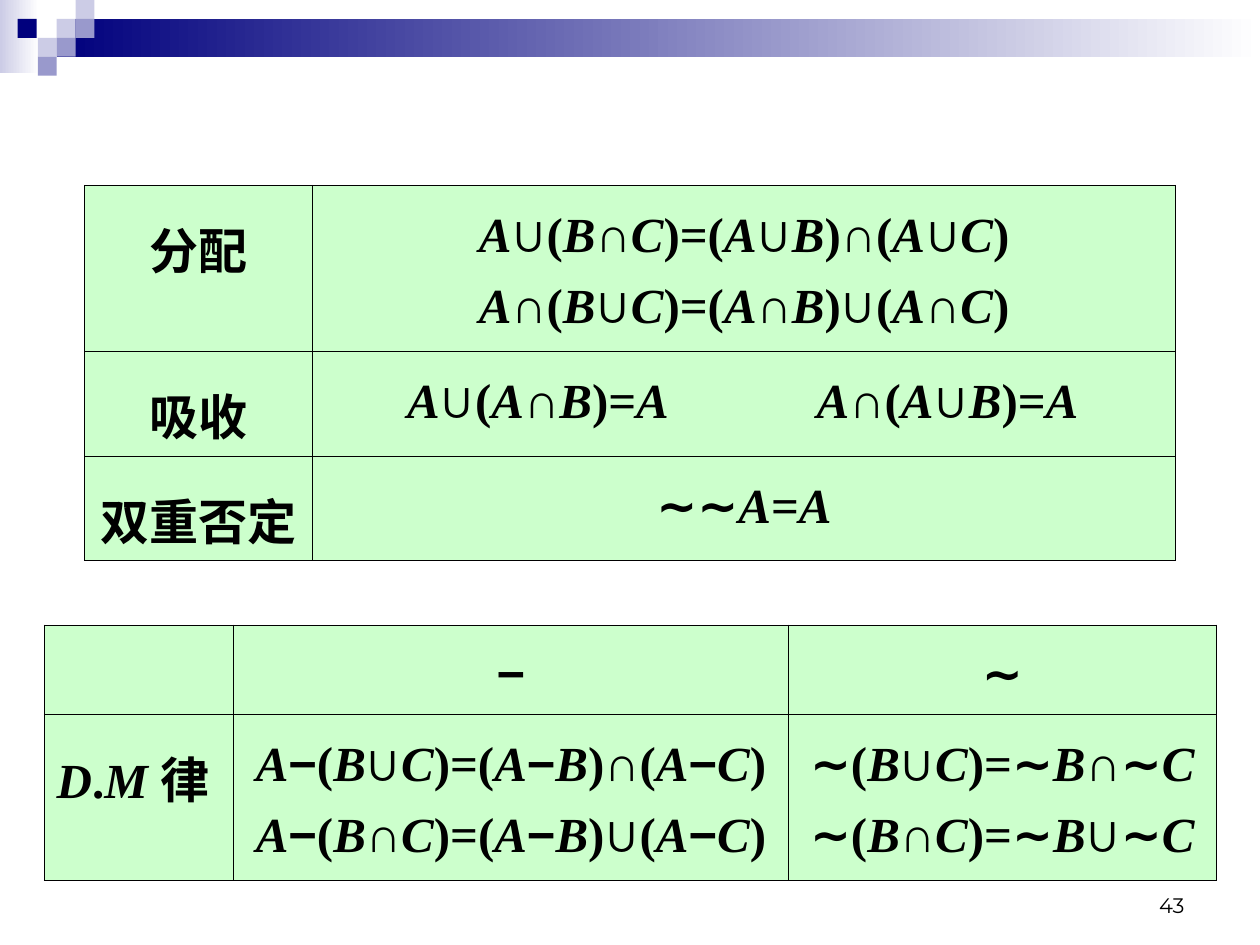
from itertools import groupby

from lxml.etree import SubElement
from pptx import Presentation
from pptx.dml.color import RGBColor
from pptx.enum.shapes import MSO_SHAPE
from pptx.enum.text import MSO_ANCHOR, PP_ALIGN
from pptx.oxml.ns import qn
from pptx.util import Inches, Pt

THEME = {
    "white": "FFFFFF", "pale": "CCCCE6", "mid": "9999CC", "navy": "00007D",
    "cell": "CCFFCC", "ink": "000000",
    "formula": "Times New Roman", "symbol": "Arial", "number": "Montserrat",
    "table_size": 28, "number_size": 12, "border": 0.45,
}
SYMBOLS = "∪∩−∼"

# Left, top, width, height and colour; bars fade from the colour to white.
BARS = [(0, 0, 0.31, 0.58, "pale"), (0.45, 0.15, 9.55, 0.3, "navy")]
SQUARE = 0.15
SQUARES = [
    (0.45, 0.15, "pale"), (0.6, 0, "pale"), (0.6, 0.15, "mid"),
    (0.3, 0.3, "pale"), (0.14, 0.15, "navy"), (0.45, 0.3, "mid"),
    (0.3, 0.45, "mid"),
]

# Each cell is a list of lines; a tab starts the next formula in a line.
LAWS = {
    "at": (0.67, 1.47), "columns": (1.81, 6.85), "rows": (1.32, 0.71, 0.71),
    "cells": [
        [["分配"], ["A∪(B∩C)=(A∪B)∩(A∪C)", "A∩(B∪C)=(A∩B)∪(A∩C)"]],
        [["吸收"], ["\tA∪(A∩B)=A\tA∩(A∪B)=A"]],
        [["双重否定"], ["∼∼A=A"]],
    ],
}
DE_MORGAN = {
    "at": (0.35, 4.96), "columns": (1.5, 4.41, 3.39), "rows": (0.71, 1.32),
    "cells": [
        [[], ["−"], ["∼"]],
        [["D.M 律"],
         ["A−(B∪C)=(A−B)∩(A−C)", "A−(B∩C)=(A−B)∪(A−C)"],
         ["∼(B∪C)=∼B∩∼C", "∼(B∩C)=∼B∪∼C"]],
    ],
}
FORMULA_CENTRES = (1.69, 4.94)
HANGING = 0.38


def color(name):
    return RGBColor.from_string(THEME[name])


def add_block(shapes, left, top, width, height, name, fade=False):
    block = shapes.add_shape(MSO_SHAPE.RECTANGLE, Inches(left), Inches(top),
                             Inches(width), Inches(height))
    block.shadow.inherit = False
    block.line.fill.background()
    if fade:
        block.fill.gradient()
        block.fill.gradient_angle = 180
        for stop, position, shade in zip(block.fill.gradient_stops, (0, 1), ("white", name)):
            stop.position = position
            stop.color.rgb = color(shade)
    else:
        block.fill.solid()
        block.fill.fore_color.rgb = color(name)


def add_span(para, text, *, font, size, bold=False, italic=False):
    span = para.add_run()
    span.text = text
    span.font.name = THEME[font]
    span.font.size = Pt(THEME[size])
    span.font.bold = bold
    span.font.italic = italic
    span.font.color.rgb = color("ink")


def character_style(character):
    """Font and slant of a character: set variables are italic."""
    if character in SYMBOLS:
        return "symbol", False
    return "formula", "A" <= character <= "Z"


def write_line(para, line, align):
    properties = para._p.get_or_add_pPr()
    para.line_spacing = 1.3
    if "\t" in line:
        para.alignment = PP_ALIGN.LEFT
        tabs = SubElement(properties, qn("a:tabLst"))
        for centre in FORMULA_CENTRES:
            SubElement(tabs, qn("a:tab"), pos=str(Inches(centre)), algn="ctr")
    else:
        para.alignment = align
        properties.set("marL", str(Inches(HANGING)))
        properties.set("indent", str(-Inches(HANGING)))
    for (font, italic), characters in groupby(line, character_style):
        add_span(para, "".join(characters), font=font, size="table_size",
                 bold=True, italic=italic)


def add_borders(cell):
    properties = cell._tc.get_or_add_tcPr()
    for position, side in enumerate(("lnL", "lnR", "lnT", "lnB")):
        line = properties.makeelement(qn(f"a:{side}"), {"w": str(Pt(THEME["border"]))})
        fill = SubElement(line, qn("a:solidFill"))
        SubElement(fill, qn("a:srgbClr"), val=THEME["ink"])
        properties.insert(position, line)


def add_law_table(slide, content):
    columns, rows = content["columns"], content["rows"]
    left, top = content["at"]
    table = slide.shapes.add_table(
        len(rows), len(columns), Inches(left), Inches(top),
        Inches(sum(columns)), Inches(sum(rows))).table
    table.first_row = table.horz_banding = False
    for column, width in zip(table.columns, columns):
        column.width = Inches(width)
    for row, height, row_cells in zip(table.rows, rows, content["cells"]):
        row.height = Inches(height)
        for cell, lines in zip(row.cells, row_cells):
            cell.fill.solid()
            cell.fill.fore_color.rgb = color("cell")
            add_borders(cell)
            for index, line in enumerate(lines):
                frame = cell.text_frame
                para = frame.add_paragraph() if index else frame.paragraphs[0]
                align = PP_ALIGN.LEFT if line.startswith("D.M") else PP_ALIGN.CENTER
                write_line(para, line, align)


def add_page_number(slide, text):
    box = slide.shapes.add_textbox(Inches(7.17), Inches(6.83), Inches(2.33), Inches(0.5))
    box.text_frame.word_wrap = True
    box.text_frame.vertical_anchor = MSO_ANCHOR.BOTTOM
    para = box.text_frame.paragraphs[0]
    para.alignment = PP_ALIGN.RIGHT
    add_span(para, text, font="number", size="number_size")


def main():
    deck = Presentation()
    deck.slide_width, deck.slide_height = Inches(10), Inches(7.5)
    page = deck.slides.add_slide(deck.slide_layouts[6])
    ornament = page.shapes.add_group_shape().shapes
    for bar in BARS:
        add_block(ornament, *bar, fade=True)
    for left, top, name in SQUARES:
        add_block(ornament, left, top, SQUARE, SQUARE, name)
    for content in (LAWS, DE_MORGAN):
        add_law_table(page, content)
    add_page_number(page, "43")
    deck.save("out.pptx")


if __name__ == "__main__":
    main()
